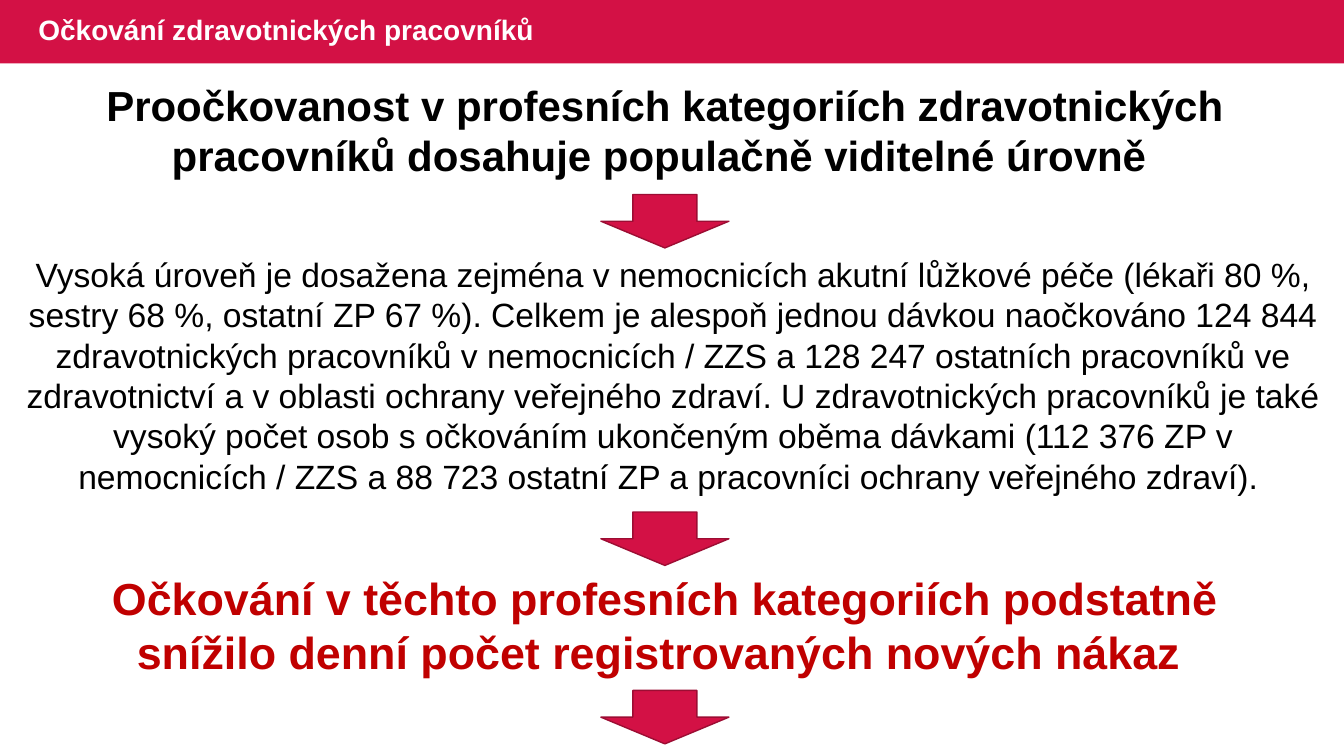
from pptx import Presentation
from pptx.dml.color import RGBColor
from pptx.enum.shapes import MSO_SHAPE
from pptx.enum.text import MSO_ANCHOR, MSO_AUTO_SIZE, PP_ALIGN
from pptx.util import Inches, Pt

RECTANGLE = MSO_SHAPE.RECTANGLE
DOWN_ARROW = MSO_SHAPE.DOWN_ARROW
MIDDLE = MSO_ANCHOR.MIDDLE
NO_AUTOFIT = MSO_AUTO_SIZE.NONE
GROW = MSO_AUTO_SIZE.SHAPE_TO_FIT_TEXT
LEFT, CENTER = PP_ALIGN.LEFT, PP_ALIGN.CENTER

CRIMSON = RGBColor(0xD3, 0x11, 0x45)
DARK_CRIMSON = RGBColor(0x9C, 0x0D, 0x33)
RED = RGBColor(0xC0, 0x00, 0x00)
BLACK = RGBColor(0x00, 0x00, 0x00)
WHITE = RGBColor(0xFF, 0xFF, 0xFF)

FONT = "Arial"
SLIDE_WIDTH, SLIDE_HEIGHT = 13.33, 7.5
BAR_HEIGHT = 0.63
ARROW_TOPS = (1.93, 5.08, 6.85)

TITLE = "Očkování zdravotnických pracovníků"
COVERAGE = ("Proočkovanost v profesních kategoriích zdravotnických pracovníků "
            "dosahuje populačně viditelné úrovně ")
DETAILS = (
    "Vysoká úroveň je dosažena zejména v nemocnicích akutní lůžkové péče "
    "(lékaři 80 %, sestry 68 %, ostatní ZP 67 %). Celkem je alespoň jednou "
    "dávkou naočkováno 124 844 zdravotnických pracovníků v nemocnicích / ZZS "
    "a 128 247 ostatních pracovníků ve zdravotnictví a v oblasti ochrany "
    "veřejného zdraví. U zdravotnických pracovníků je také vysoký počet osob "
    "s očkováním ukončeným oběma dávkami (112 376 ZP v nemocnicích / ZZS "
    "a 88 723 ostatní ZP a pracovníci ochrany veřejného zdraví). "
)
IMPACT = ("Očkování v těchto profesních kategoriích podstatně snížilo "
          "denní počet registrovaných nových nákaz ")


def write(tf, text, size, color, bold, align):
    tf.word_wrap = True
    p = tf.paragraphs[0]
    p.text = text
    p.alignment = align
    p.font.name = FONT
    p.font.size = Pt(size)
    p.font.bold = bold
    p.font.color.rgb = color
    return p


def add_shape(slide, kind, left, top, width, height):
    sp = slide.shapes.add_shape(
        kind, Inches(left), Inches(top), Inches(width), Inches(height))
    sp.shadow.inherit = False
    sp.fill.solid()
    sp.fill.fore_color.rgb = CRIMSON
    return sp


def add_title_bar(slide):
    bar = add_shape(slide, RECTANGLE, 0, 0, SLIDE_WIDTH, BAR_HEIGHT)
    bar.line.fill.background()
    # Send the bar behind the title
    slide.shapes.element.insert(2, bar.element)


def set_title(slide):
    title = slide.shapes.title
    title.left, title.top = Inches(0.28), Inches(0)
    title.width, title.height = Inches(8.13), Inches(BAR_HEIGHT)
    tf = title.text_frame
    tf.auto_size = NO_AUTOFIT
    tf.vertical_anchor = MIDDLE
    p = write(tf, TITLE, 20, WHITE, True, LEFT)
    p.line_spacing = 0.9


def add_statement(slide, text, left, top, width, height, size, color=BLACK, bold=True):
    box = slide.shapes.add_textbox(
        Inches(left), Inches(top), Inches(width), Inches(height))
    box.text_frame.auto_size = GROW
    write(box.text_frame, text, size, color, bold, CENTER)


def add_arrow(slide, top):
    arrow = add_shape(slide, DOWN_ARROW, 5.96, top, 1.27, 0.53)
    arrow.line.color.rgb = DARK_CRIMSON
    arrow.line.width = Pt(1)


def main():
    prs = Presentation()
    prs.slide_width = Inches(SLIDE_WIDTH)
    prs.slide_height = Inches(SLIDE_HEIGHT)
    slide = prs.slides.add_slide(prs.slide_layouts[5])

    # Header
    add_title_bar(slide)
    set_title(slide)

    # Chain of statements
    add_statement(slide, COVERAGE, 0.48, 0.74, 12.24, 1.11, 30)
    add_statement(slide, DETAILS, 0.16, 2.47, 13.03, 2.52, 24, bold=False)
    add_statement(slide, IMPACT, 0.48, 5.61, 12.24, 1.18, 32, color=RED)

    # Arrows leading downwards
    for top in ARROW_TOPS:
        add_arrow(slide, top)

    prs.save("out.pptx")


if __name__ == "__main__":
    main()
